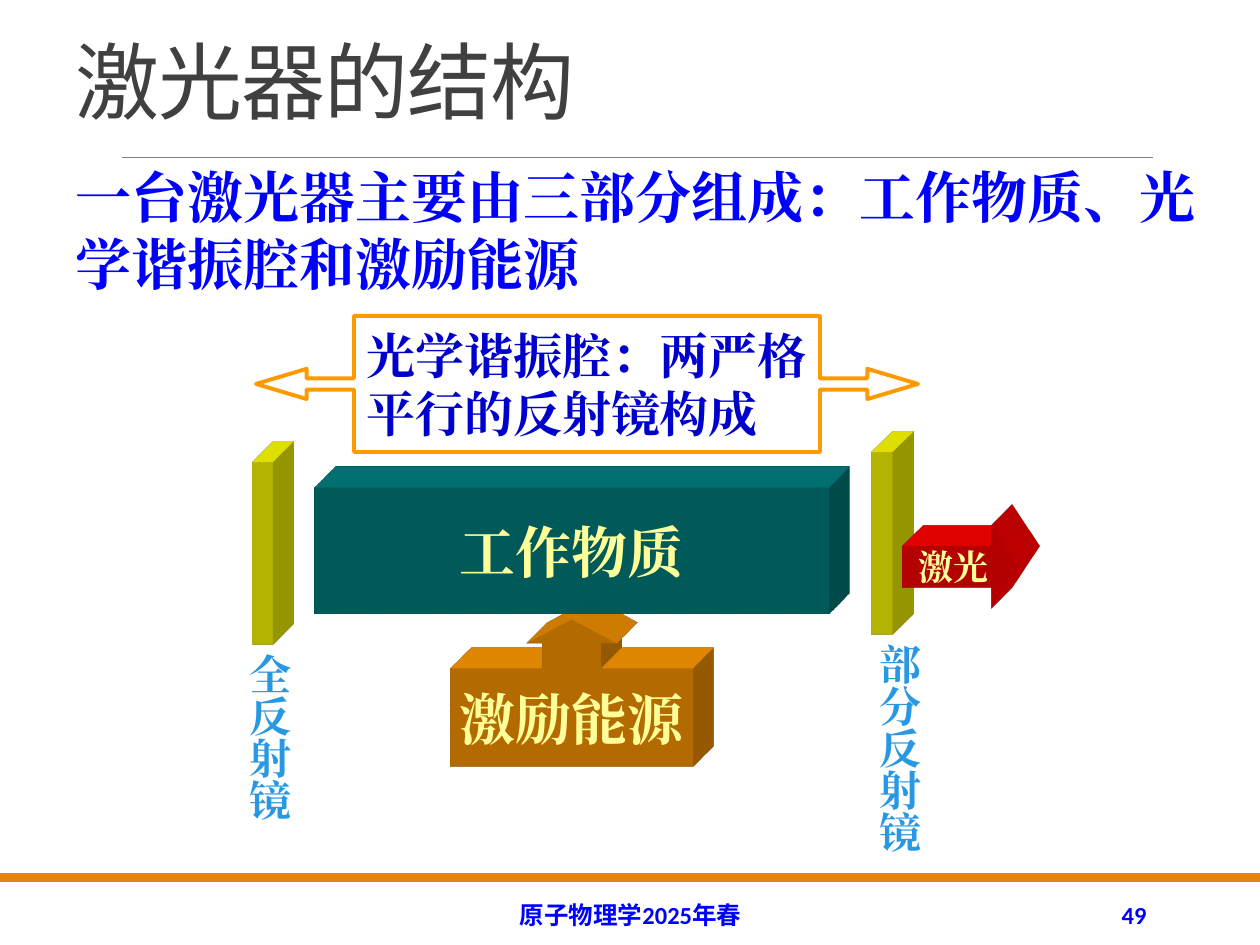
import pptx
import pptx.util
import pptx.dml.color
import pptx.enum.shapes
import pptx.enum.text
import pptx.oxml
import pptx.oxml.ns

SCALE = 914400 / 126
SHAPES = pptx.enum.shapes.MSO_SHAPE
ALIGN = pptx.enum.text.PP_ALIGN
ANCHOR = pptx.enum.text.MSO_ANCHOR
COLORS = {
    "rule": "808080", "bar": "E48312", "title": "404040", "blue": "0000FF",
    "callout": "0000CC", "orange": "FF9900", "yellow": "FFFF00", "red": "FF0000",
    "teal": "008080", "pale": "FFFF99", "label": "2998E3",
}
SERIF = "Times New Roman"
DRAWING = 'xmlns:a="http://schemas.openxmlformats.org/drawingml/2006/main"'


def emu(pixels):
    """Turn pixels into EMU."""
    return pptx.util.Emu(round(pixels * SCALE))


def color(name):
    """Return the named colour."""
    return pptx.dml.color.RGBColor.from_string(COLORS[name])


def place(box, left, top, width, height):
    """Return EMU bounds for a part placed relative to a box."""
    return [emu(value) for value in (box[0] + left, box[1] + top, width, height)]


def write(shape, lines, size, ink, font=SERIF, bold=True, align=ALIGN.LEFT,
          anchor=ANCHOR.TOP, wrap=True):
    """Fill a shape with formatted paragraphs and return them."""
    frame = shape.text_frame
    frame.text = "\n".join(lines)
    for name, value in {"word_wrap": wrap, "vertical_anchor": anchor}.items():
        setattr(frame, name, value)
    values = {"size": pptx.util.Pt(size), "bold": bold, "name": font}
    for paragraph in frame.paragraphs:
        paragraph.alignment = align
        for run in paragraph.runs:
            for name, value in values.items():
                setattr(run.font, name, value)
            run.font.color.rgb = color(ink)
            east_asian = pptx.oxml.parse_xml(f'<a:ea {DRAWING} typeface="{font}"/>')
            run.font._element.find(pptx.oxml.ns.qn("a:latin")).addnext(east_asian)
    return frame.paragraphs


def add_preset(slide, kind, bounds, fill=None, line=None, adjustments=()):
    """Add a flat preset shape."""
    shape = slide.shapes.add_shape(kind, *bounds)
    shape.shadow.inherit = False
    for index, value in enumerate(adjustments):
        shape.adjustments[index] = value
    if fill:
        shape.fill.solid()
        shape.fill.fore_color.rgb = color(fill)
    else:
        shape.fill.background()
    if line:
        shape.line.color.rgb = color(line)
        shape.line.width = pptx.util.Pt(2.25)
    else:
        shape.line.fill.background()
    return shape


def add_solid(slide, kind, bounds, fill, text="", size=32, adjustments=()):
    """Add an extruded preset shape with an optional centred caption."""
    shape = add_preset(slide, kind, bounds, fill, adjustments=adjustments)
    properties = shape._element.spPr
    properties.append(pptx.oxml.parse_xml(
        f'<a:scene3d {DRAWING}><a:camera prst="legacyObliqueTopRight"/>'
        '<a:lightRig rig="legacyFlat3" dir="r"/></a:scene3d>'))
    properties.append(pptx.oxml.parse_xml(
        f'<a:sp3d {DRAWING} extrusionH="430200" prstMaterial="legacyMatte">'
        f'<a:extrusionClr><a:srgbClr val="{COLORS[fill]}"/></a:extrusionClr></a:sp3d>'))
    if text:
        write(shape, [text], size, "pale", align=ALIGN.CENTER,
              anchor=ANCHOR.MIDDLE, wrap=False)


def add_heading(slide, box):
    """Add the title, its rule and the introduction."""
    left, top, width, height = box
    rule = slide.shapes.add_connector(
        pptx.enum.shapes.MSO_CONNECTOR.STRAIGHT,
        emu(left + 59), emu(top + 149), emu(left + 1090), emu(top + 149))
    rule.line.color.rgb = color("rule")
    rule.line.width = pptx.util.Pt(0.5)
    rule._element.spPr.append(pptx.oxml.parse_xml(f"<a:effectLst {DRAWING}/>"))
    title = slide.shapes.add_textbox(*place(box, 0, 0, 1144, 129))
    paragraph = write(title, ["激光器的结构"], 48, "title", "Noto Sans CJK SC",
                      False, anchor=ANCHOR.BOTTOM)[0]
    paragraph.line_spacing = 0.85
    paragraph.runs[0].font._element.set("spc", "-50")
    introduction = slide.shapes.add_textbox(*place(box, 0, 148, width, height - 148))
    write(introduction, ["一台激光器主要由三部分组成：工作物质、光学谐振腔和激励能源"],
          32, "blue")


def add_mirror(slide, box, text, offset, height, wrap):
    """Add one mirror with its vertical label."""
    add_solid(slide, SHAPES.RECTANGLE, place(box, 0, 0, box[2], box[3]), "yellow")
    label = slide.shapes.add_textbox(*place(box, offset, box[3] - 4, 77, height))
    write(label, [text], 24, "label", align=ALIGN.CENTER, wrap=wrap)
    label.text_frame._txBody.bodyPr.set("vert", "eaVert")


def add_laser(slide, box):
    """Add the resonator callout, mirrors, medium, pump and beam."""
    left, top = box[:2]
    callout = add_preset(slide, SHAPES.LEFT_RIGHT_ARROW_CALLOUT,
                         place(box, 32, 0, 662, 136), line="orange",
                         adjustments=(0.083, 0.111, 0.372, 0.704))
    write(callout, ["光学谐振腔：两严格", "平行的反射镜构成"], 28, "callout",
          align=ALIGN.JUSTIFY, anchor=ANCHOR.MIDDLE, wrap=False)
    add_mirror(slide, (left + 28, top + 146, 21, 183), "全反射镜", -28, 231, True)
    add_mirror(slide, (left + 648, top + 136, 21, 183), "部分反射镜", -18, 284, False)
    add_solid(slide, SHAPES.RIGHT_ARROW, place(box, 679, 209, 116, 84), "red",
              "激光", 20, (0.5, 0.328))
    add_solid(slide, SHAPES.UP_ARROW_CALLOUT, place(box, 227, 304, 242, 147),
              "orange", "激励能源", adjustments=(0.4, 0.308, 0.164, 0.667))
    add_solid(slide, SHAPES.RECTANGLE, place(box, 91, 172, 514, 126), "teal", "工作物质")


def add_footer(slide, box):
    """Add the bar, the course name and the slide number."""
    add_preset(slide, SHAPES.RECTANGLE, place(box, 0, 0, box[2], 9), "bar")
    for text, left, width, align in (("原子物理学2025年春", 381, 499, ALIGN.CENTER),
                                     ("49", 1023, 136, ALIGN.RIGHT)):
        label = slide.shapes.add_textbox(*place(box, left, 17, width, 50))
        write(label, [text], 14, "blue", "Calibri", align=align, anchor=ANCHOR.MIDDLE)


def main():
    """Build and save the slide."""
    presentation = pptx.Presentation()
    presentation.slide_width, presentation.slide_height = emu(1260), emu(945)
    slide = presentation.slides.add_slide(presentation.slide_layouts[6])
    add_heading(slide, (63, 8, 1155, 297))
    add_laser(slide, (224, 316, 816, 588))
    add_footer(slide, (0, 873, 1260, 72))
    presentation.save("out.pptx")


if __name__ == "__main__":
    main()
